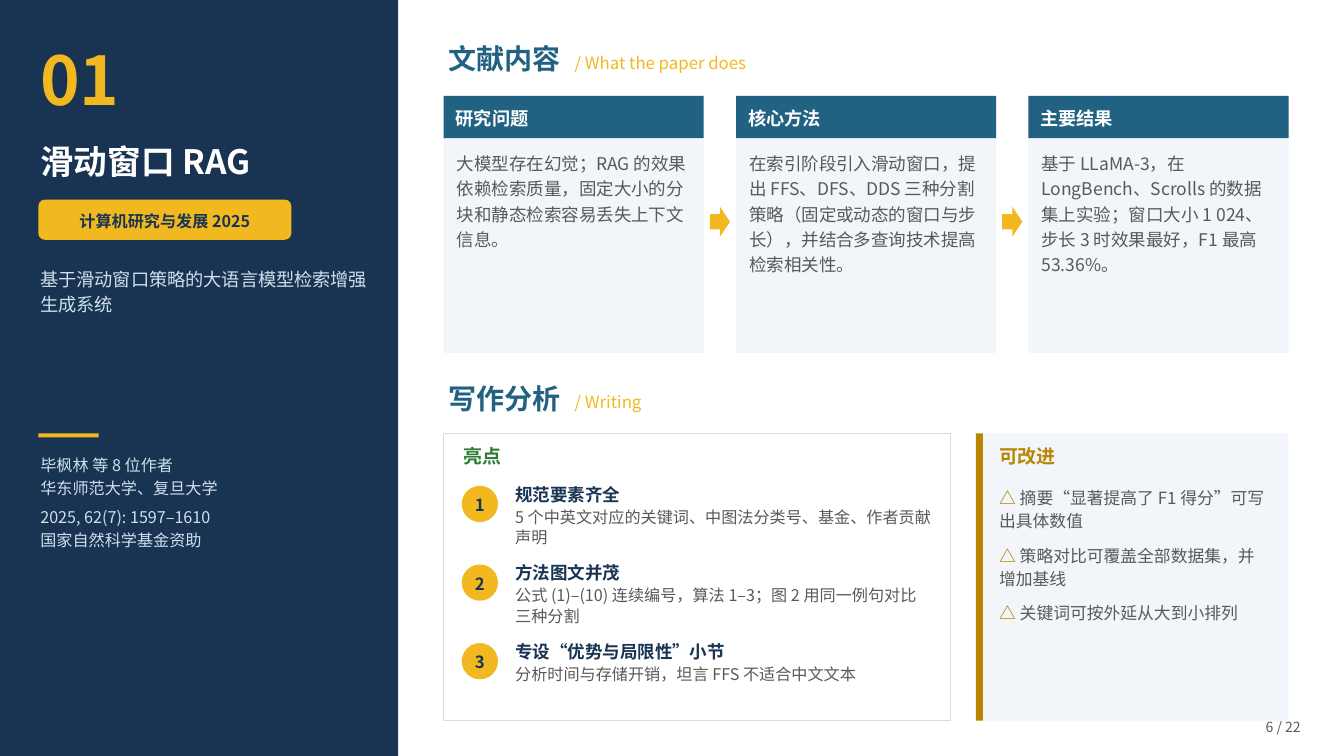
from lxml.etree import SubElement
from pptx import Presentation
from pptx.dml.color import RGBColor
from pptx.enum.shapes import MSO_SHAPE as Shape
from pptx.enum.text import MSO_ANCHOR as Anchor, MSO_AUTO_SIZE as AutoSize, PP_ALIGN as Align
from pptx.oxml.ns import qn
from pptx.util import Inches, Pt

FONT = "Noto Sans CJK SC"
NAVY = RGBColor(0x19, 0x34, 0x53)
TEAL = RGBColor(0x21, 0x62, 0x83)
YELLOW = RGBColor(0xF2, 0xB8, 0x1F)
GOLD = RGBColor(0xB8, 0x86, 0x00)
GREEN = RGBColor(0x2E, 0x7D, 0x32)
GRAY = RGBColor(0x59, 0x59, 0x59)
MIST = RGBColor(0xCF, 0xDF, 0xEC)
PALE = RGBColor(0xF2, 0xF6, 0xFA)
WHITE = RGBColor(0xFF, 0xFF, 0xFF)

presentation = Presentation()
presentation.slide_width = Inches(13.33)
presentation.slide_height = Inches(7.5)
slide = presentation.slides.add_slide(presentation.slide_layouts[6])


def add_box(left, top, width, height, fill=None, kind=Shape.RECTANGLE, margins=(0.05, 0.03)):
    """Add a filled shape, or a plain text box when no fill is given."""
    place = [Inches(length) for length in (left, top, width, height)]
    if fill is None:
        shape = slide.shapes.add_textbox(*place)
        shape.text_frame.auto_size = AutoSize.SHAPE_TO_FIT_TEXT
    else:
        shape = slide.shapes.add_shape(kind, *place)
        shape.shadow.inherit = False
        shape.fill.solid()
        shape.fill.fore_color.rgb = fill
        shape.line.fill.background()
        shape.text_frame.vertical_anchor = Anchor.MIDDLE
    frame = shape.text_frame
    frame.word_wrap = True
    frame.margin_left = frame.margin_right = Inches(margins[0])
    frame.margin_top = frame.margin_bottom = Inches(margins[1])
    return shape


def write(shape, text, size, color, bold=False, spacing=1.1, before=None, align=Align.LEFT):
    """Append one paragraph to the shape and return it."""
    frame = shape.text_frame
    paragraph = frame.add_paragraph() if frame.text else frame.paragraphs[0]
    paragraph.text = text
    paragraph.alignment = align
    paragraph.line_spacing = spacing
    if before:
        paragraph.space_before = Pt(before)
    font = paragraph.font
    font.name, font.size, font.bold = FONT, Pt(size), bold
    font.color.rgb = color
    defaults = paragraph._p.get_or_add_pPr().find(qn("a:defRPr"))
    SubElement(defaults, qn("a:ea")).set("typeface", FONT)
    return paragraph


# Sidebar
SIDE_LEFT, SIDE_WIDTH = 0.35, 3.35
add_box(0, 0, 3.95, 7.5, NAVY)
write(add_box(SIDE_LEFT, 0.35, SIDE_WIDTH, 1), "01", 48, YELLOW, True, 1.0)
write(add_box(SIDE_LEFT, 1.32, SIDE_WIDTH, 0.6), "滑动窗口 RAG", 24, WHITE, True, 1.12)
journal = add_box(0.38, 1.98, 2.51, 0.4, YELLOW, Shape.ROUNDED_RECTANGLE, (0.08, 0.04))
write(journal, "计算机研究与发展 2025", 11.5, NAVY, True, align=Align.CENTER)
write(add_box(SIDE_LEFT, 2.6, SIDE_WIDTH, 1.6),
      "基于滑动窗口策略的大语言模型检索增强生成系统", 13, MIST, spacing=1.15)
add_box(0.38, 4.3, 0.6, 0.04, YELLOW)
credits = add_box(SIDE_LEFT, 4.45, SIDE_WIDTH, 1.3)
write(credits, "毕枫林 等 8 位作者\v华东师范大学、复旦大学", 11.5, MIST, spacing=1.2)
write(credits, "2025, 62(7): 1597–1610\v国家自然科学基金资助", 11.5, MIST, spacing=1.2, before=4)

# Section headings
MAIN_LEFT = 4.4
for top, title, subtitle in [
    (0.35, "文献内容", "/ What the paper does"),
    (3.72, "写作分析", "/ Writing"),
]:
    write(add_box(MAIN_LEFT, top, 6, 0.45), title, 20, TEAL, True)
    write(add_box(MAIN_LEFT + 1.25, top + 0.12, 4, 0.35), subtitle, 12, YELLOW)

# Content cards
CARD_TOP, CARD_WIDTH, CARD_PITCH = 0.95, 2.58, 2.9
cards = [
    ("研究问题", "大模型存在幻觉；RAG 的效果依赖检索质量，固定大小的分块和静态检索容易丢失上下文信息。"),
    ("核心方法", "在索引阶段引入滑动窗口，提出 FFS、DFS、DDS 三种分割策略（固定或动态的窗口与步长），"
                "并结合多查询技术提高检索相关性。"),
    ("主要结果", "基于 LLaMA-3，在 LongBench、Scrolls 的数据集上实验；窗口大小 1 024、步长 3 时效果最好，"
                "F1 最高 53.36%。"),
]
for column, (title, body) in enumerate(cards):
    left = MAIN_LEFT + column * CARD_PITCH
    if column:
        add_box(left - 0.26, 2.05, 0.2, 0.3, YELLOW, Shape.RIGHT_ARROW)
    add_box(left, CARD_TOP, CARD_WIDTH, 2.55, PALE)
    header = add_box(left, CARD_TOP, CARD_WIDTH, 0.42, TEAL, margins=(0.12, 0.02))
    write(header, title, 13, WHITE, True)
    write(add_box(left + 0.08, CARD_TOP + 0.5, CARD_WIDTH - 0.16, 2), body, 12.5, GRAY, spacing=1.2)

# Strengths
PANEL_TOP, PANEL_HEIGHT = 4.3, 2.85
strengths_panel = add_box(MAIN_LEFT, PANEL_TOP, 5.03, PANEL_HEIGHT, WHITE)
strengths_panel.line.color.rgb = MIST
strengths_panel.line.width = Pt(1)
write(add_box(MAIN_LEFT + 0.15, PANEL_TOP + 0.06, 2, 0.35), "亮点", 13.5, GREEN, True)
strengths = [
    ("规范要素齐全", "5 个中英文对应的关键词、中图法分类号、基金、作者贡献声明"),
    ("方法图文并茂", "公式 (1)–(10) 连续编号，算法 1–3；图 2 用同一例句对比三种分割"),
    ("专设“优势与局限性”小节", "分析时间与存储开销，坦言 FFS 不适合中文文本"),
]
for row, (title, detail) in enumerate(strengths):
    top = 4.76 + row * 0.78
    badge = add_box(4.58, top + 0.06, 0.36, 0.36, YELLOW, Shape.OVAL, (0, 0))
    write(badge, str(row + 1), 12, NAVY, True, align=Align.CENTER)
    strength = add_box(5.06, top, 4.23, 0.78)
    write(strength, title, 12.5, NAVY, True, 1.05)
    write(strength, detail, 11.5, GRAY, spacing=1.05, before=1)

# Improvements
IMPROVE_LEFT = 9.68
add_box(IMPROVE_LEFT, PANEL_TOP, 3.1, PANEL_HEIGHT, PALE)
add_box(IMPROVE_LEFT, PANEL_TOP, 0.07, PANEL_HEIGHT, GOLD)
write(add_box(IMPROVE_LEFT + 0.18, PANEL_TOP + 0.06, 2, 0.35), "可改进", 13.5, GOLD, True)
improvements = add_box(IMPROVE_LEFT + 0.18, PANEL_TOP + 0.48, 2.8, 2.3)
for index, advice in enumerate([
    "摘要“显著提高了 F1 得分”可写出具体数值",
    "策略对比可覆盖全部数据集，并增加基线",
    "关键词可按外延从大到小排列",
]):
    paragraph = write(improvements, "△ ", 12, GOLD, True, 1.15, before=8 if index else None)
    run = paragraph.add_run()
    run.text = advice
    run.font.bold = False
    run.font.color.rgb = GRAY

write(add_box(12.05, 7.08, 0.9, 0.3), "6 / 22", 10, GRAY, align=Align.RIGHT)

presentation.save("out.pptx")
